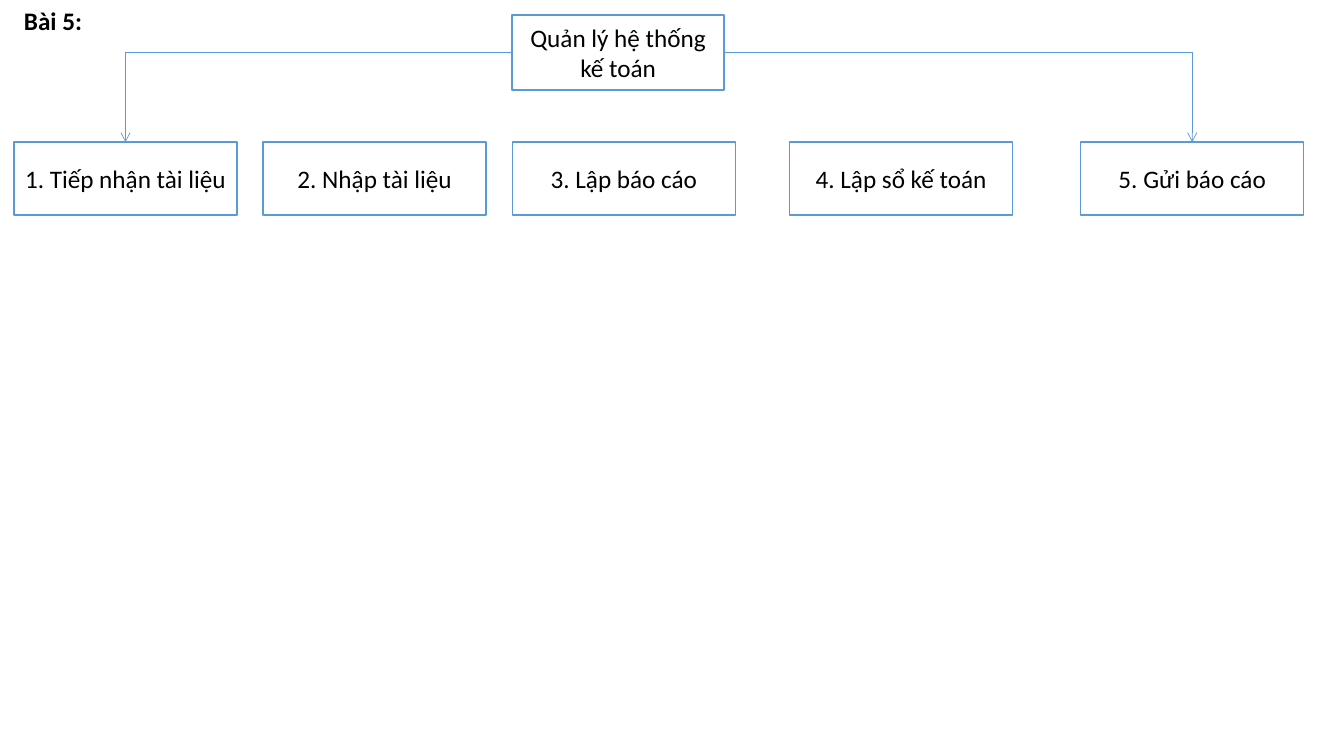
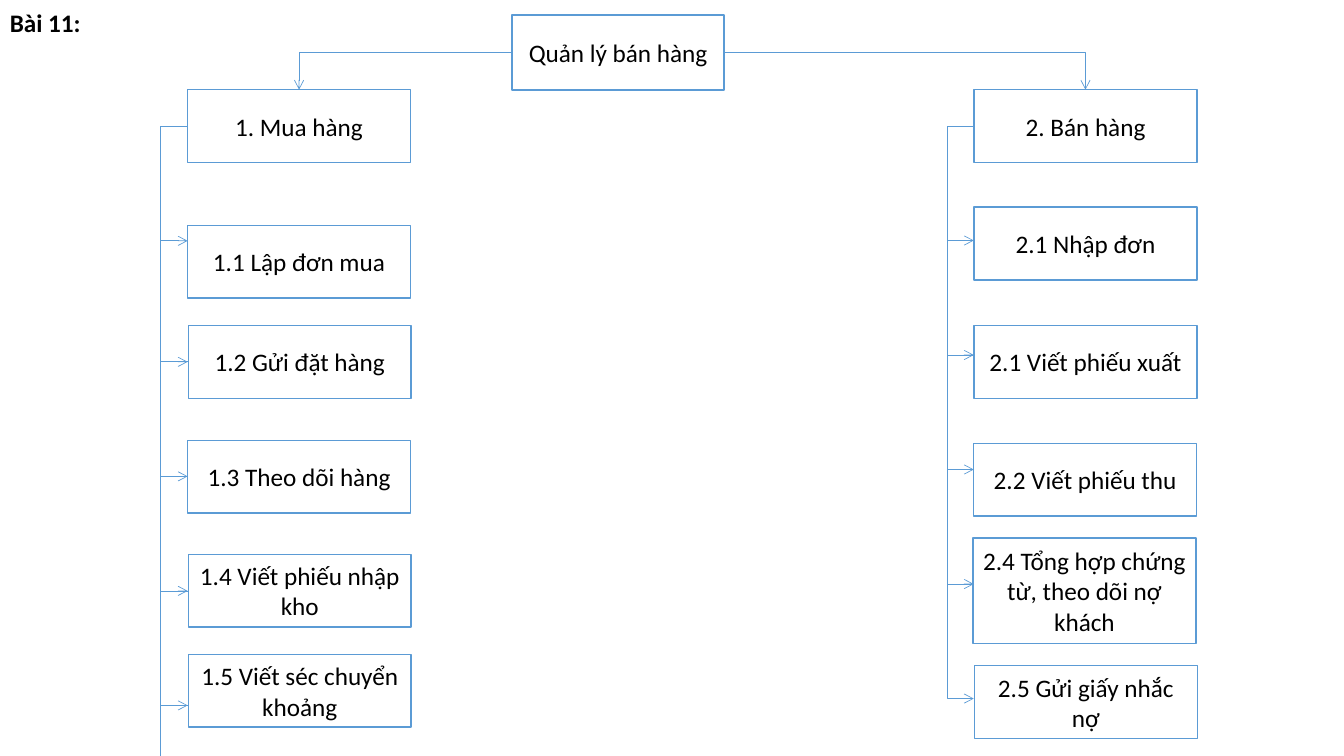
import pptx
import pptx.util
import pptx.dml.color
import pptx.enum.shapes
import pptx.enum.text
import pptx.oxml.ns
from lxml import etree

Pt = pptx.util.Pt
qn = pptx.oxml.ns.qn
rgb = pptx.dml.color.RGBColor.from_string
shapes = pptx.enum.shapes
enums = pptx.enum.text

# Shared look
BLUE, BLACK = "5B9BD5", "000000"
FONT = {"name": "Calibri", "size": Pt(18)}
ROOT = (365.75, 10.75, 151.5, 53.5)
WIDE, HIGH = 159.25, 52
TOP, LEFT, RIGHT = 0, 1, 3
NUDGE, REACH = 0.25, 19  # elbow width, and how far it swings out to the left


def write(shape, text, bold=False):
    frame = shape.text_frame
    frame.word_wrap = True
    frame.text = text
    font = frame.paragraphs[0].runs[0].font
    for key, val in {**FONT, "bold": bold}.items():
        setattr(font, key, val)
    font.color.rgb = rgb(BLACK)
    return frame


def link(slide, start, end, glue=None):
    """Elbow arrow: one bend between glued boxes, else a swing to the left."""
    line = slide.shapes.add_connector(
        shapes.MSO_CONNECTOR.ELBOW, *[Pt(v) for v in (*start, *end)])
    if glue:
        root, side, box = glue
        line.begin_connect(root, side)
        line.end_connect(box, TOP)
    line.line.color.rgb = rgb(BLUE)
    line.line.width = Pt(0.5)
    props = line._element.spPr
    etree.SubElement(props.find(qn("a:ln")), qn("a:tailEnd"), type="arrow")
    etree.SubElement(props, qn("a:effectLst"))
    # A leftward elbow is turned half round and flipped upright
    if end[0] < start[0]:
        frame = props.find(qn("a:xfrm"))
        frame.attrib.pop("flipH", None)
        frame.set("rot", "10800000")
        frame.set("flipV", "1")
    geom = props.find(qn("a:prstGeom"))
    if glue:
        geom.set("prst", "bentConnector2")
    else:
        ratio = round(REACH / NUDGE * 100000)
        etree.SubElement(geom.find(qn("a:avLst")), qn("a:gd"),
                         name="adj1", fmla=f"val {ratio}")


# Slide data: title, root, boxes (left, top, height, text), the two boxes
# under the root, and arrows (left, from, to)
STEP = 81.8
buy = [258.5 + STEP * i for i in range(5)]
sell = [90 + STEP * i for i in range(6)]
arrows = [(134, 90, 172), (134, 90, buy[0])]
arrows += [(134, a, b) for a, b in zip(buy, buy[1:])]
arrows += [(695.5, a, b) for a, b in zip(sell, sell[1:])]

PAGES = [
    {"title": ("Bài 5:", 10, 0, 320),
     "root": "Quản lý hệ thống kế toán",
     "boxes": [(10, 101.5, HIGH, "1. Tiếp nhận tài liệu"),
               (188, 101.5, HIGH, "2. Nhập tài liệu"),
               (366, 101.5, HIGH, "3. Lập báo cáo"),
               (564, 101.5, HIGH, "4. Lập sổ kế toán"),
               (772, 101.5, HIGH, "5. Gửi báo cáo")],
     "ends": (0, 4),
     "arrows": []},
    {"title": ("Bài 11:", 0, 2, 66.5),
     "root": "Quản lý bán hàng",
     "boxes": [(134, 64, HIGH, "1. Mua hàng"),
               (134, 161, HIGH, "1.1 Lập đơn mua"),
               (134.5, 232.5, HIGH, "1.2 Gửi đặt hàng"),
               (134, 314.5, HIGH, "1.3 Theo dõi hàng"),
               (134.5, 396, HIGH, "1.4 Viết phiếu nhập kho"),
               (134.5, 467.5, HIGH, "1.5 Viết séc chuyển khoảng"),
               (695.75, 64, HIGH, "2. Bán hàng"),
               (695.75, 148, HIGH, "2.1 Nhập đơn"),
               (695.75, 232.5, HIGH, "2.1 Viết phiếu xuất"),
               (695.5, 316.75, HIGH, "2.2 Viết phiếu thu"),
               (695, 384.25, 75.5, "2.4 Tổng hợp chứng từ, theo dõi nợ khách"),
               (696, 475.5, HIGH, "2.5 Gửi giấy nhắc nợ")],
     "ends": (0, 6),
     "arrows": arrows},
]

deck = pptx.Presentation()
deck.slide_width, deck.slide_height = Pt(960), Pt(540)

for page in PAGES:
    slide = deck.slides.add_slide(deck.slide_layouts[6])

    # Title
    text, x, y, wide = page["title"]
    title = slide.shapes.add_textbox(Pt(x), Pt(y), Pt(wide), Pt(29))
    write(title, text, bold=True)

    # Root box first, then the others
    nodes = []
    cells = [(*ROOT, page["root"])]
    cells += [(x, y, WIDE, high, text) for x, y, high, text in page["boxes"]]
    for *place, text in cells:
        node = slide.shapes.add_shape(
            shapes.MSO_SHAPE.RECTANGLE, *[Pt(v) for v in place])
        node.shadow.inherit = False
        node.fill.background()
        node.line.color.rgb = rgb(BLUE)
        node.line.width = Pt(1)
        frame = write(node, text)
        frame.vertical_anchor = enums.MSO_ANCHOR.MIDDLE
        frame.paragraphs[0].alignment = enums.PP_ALIGN.CENTER
        nodes.append(node)

    # Arrows from the root to its two ends
    x, y, wide, high = ROOT
    for side, edge, i in zip((LEFT, RIGHT), (x, x + wide), page["ends"]):
        left, top = page["boxes"][i][:2]
        link(slide, (edge, y + high / 2), (left + WIDE / 2, top),
             (nodes[0], side, nodes[i + 1]))

    # Arrows down the left side of each column
    for x, y, down in page["arrows"]:
        link(slide, (x + NUDGE, y), (x, down))

deck.save("out.pptx")
